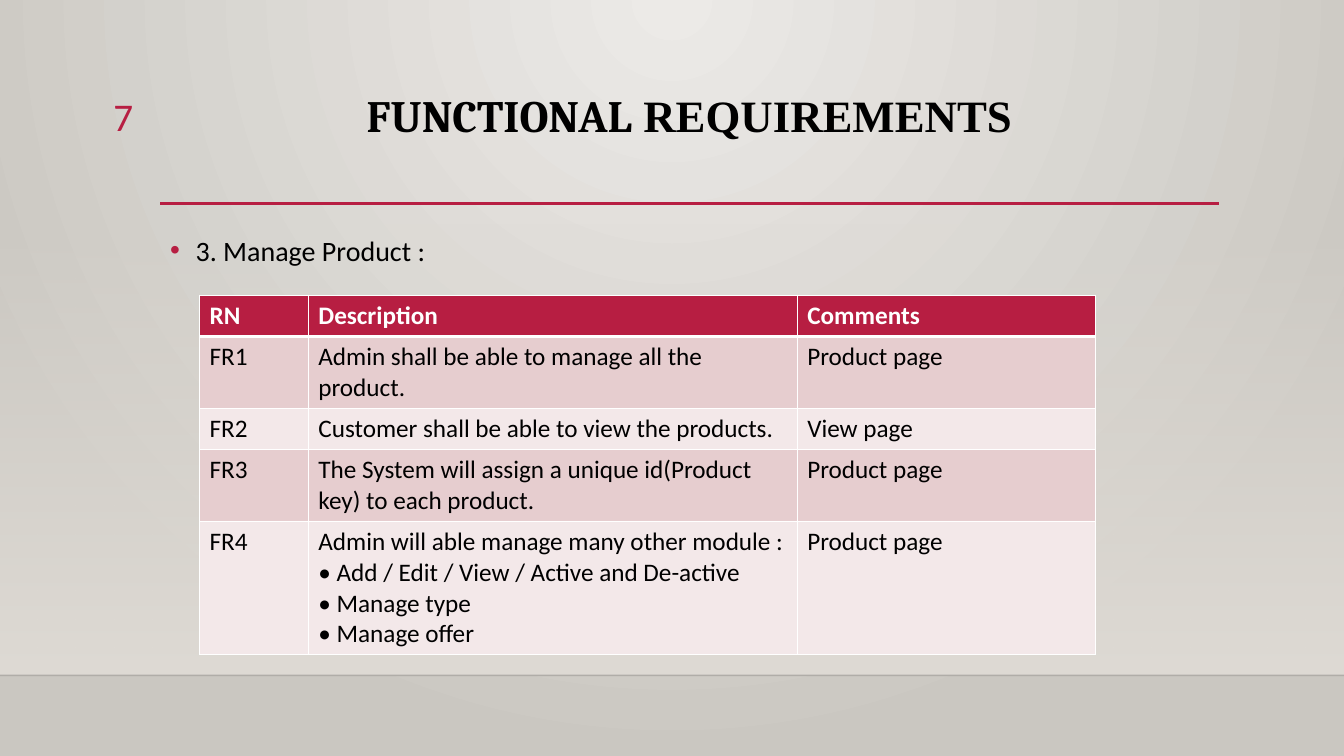
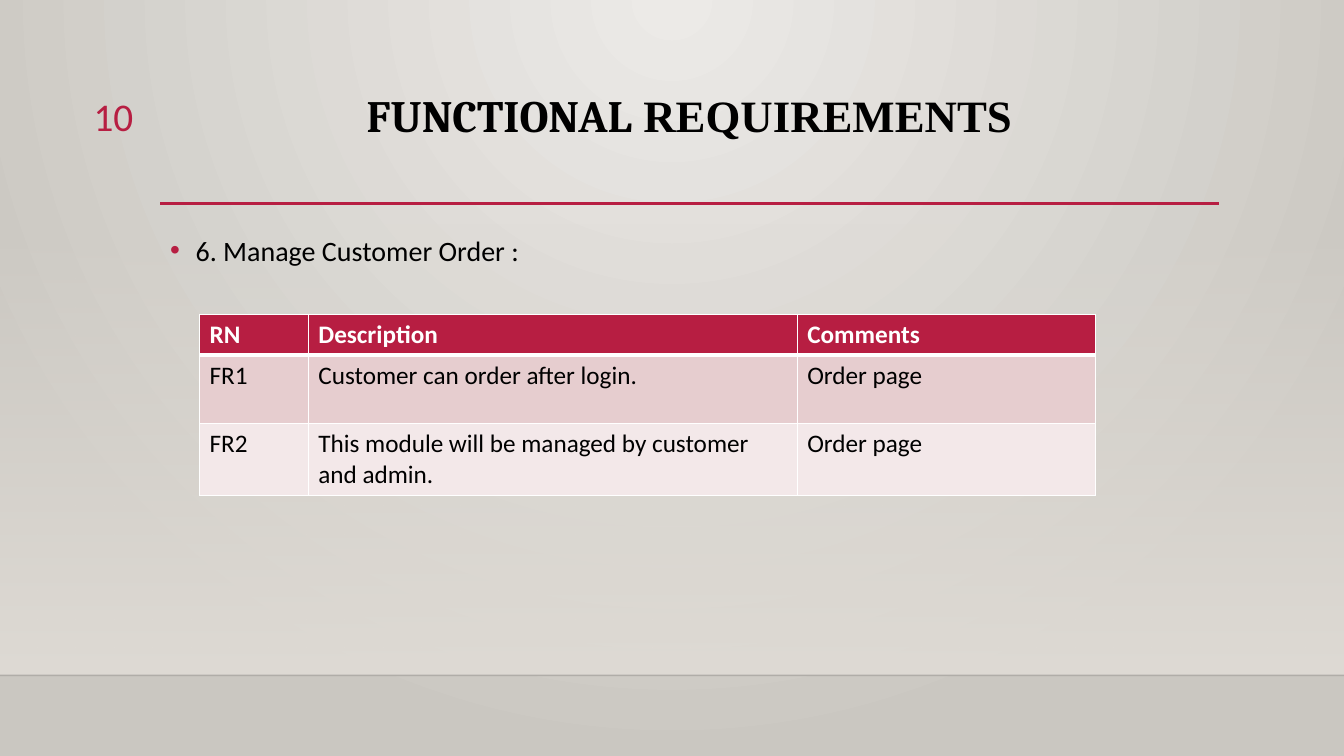
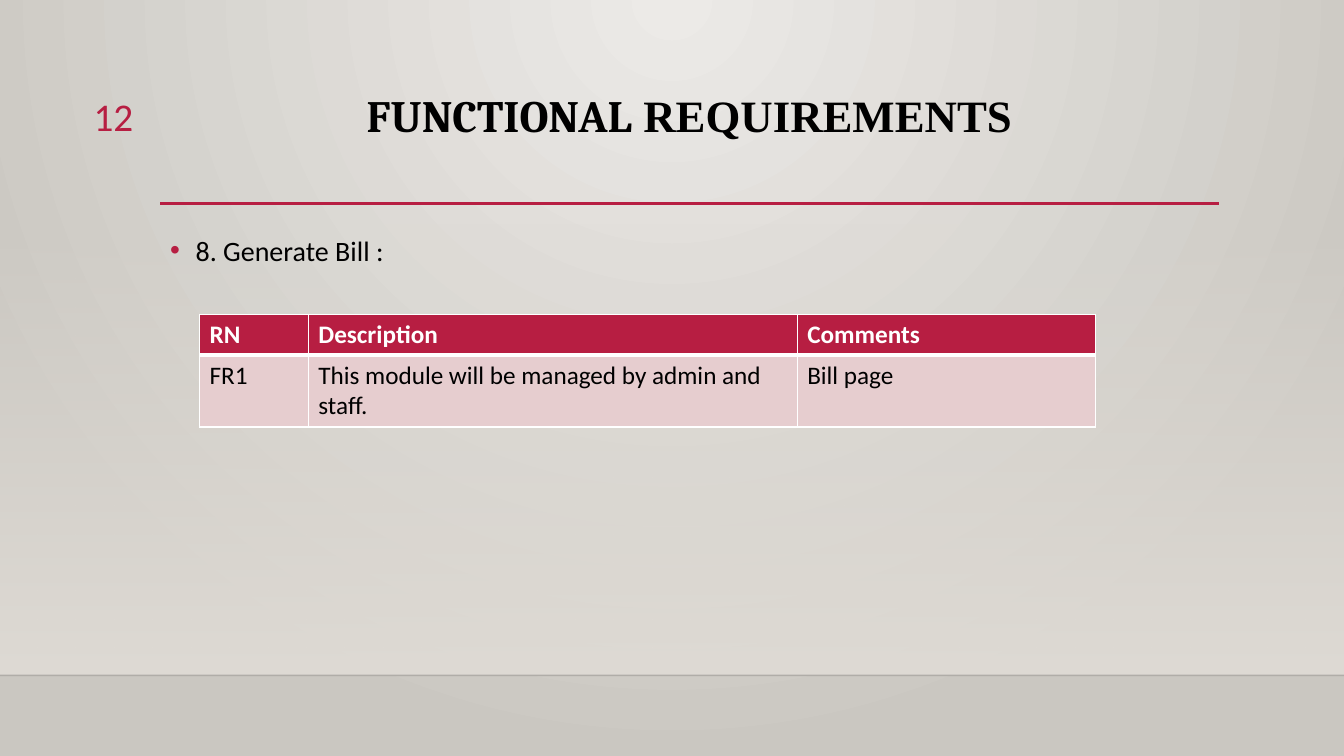
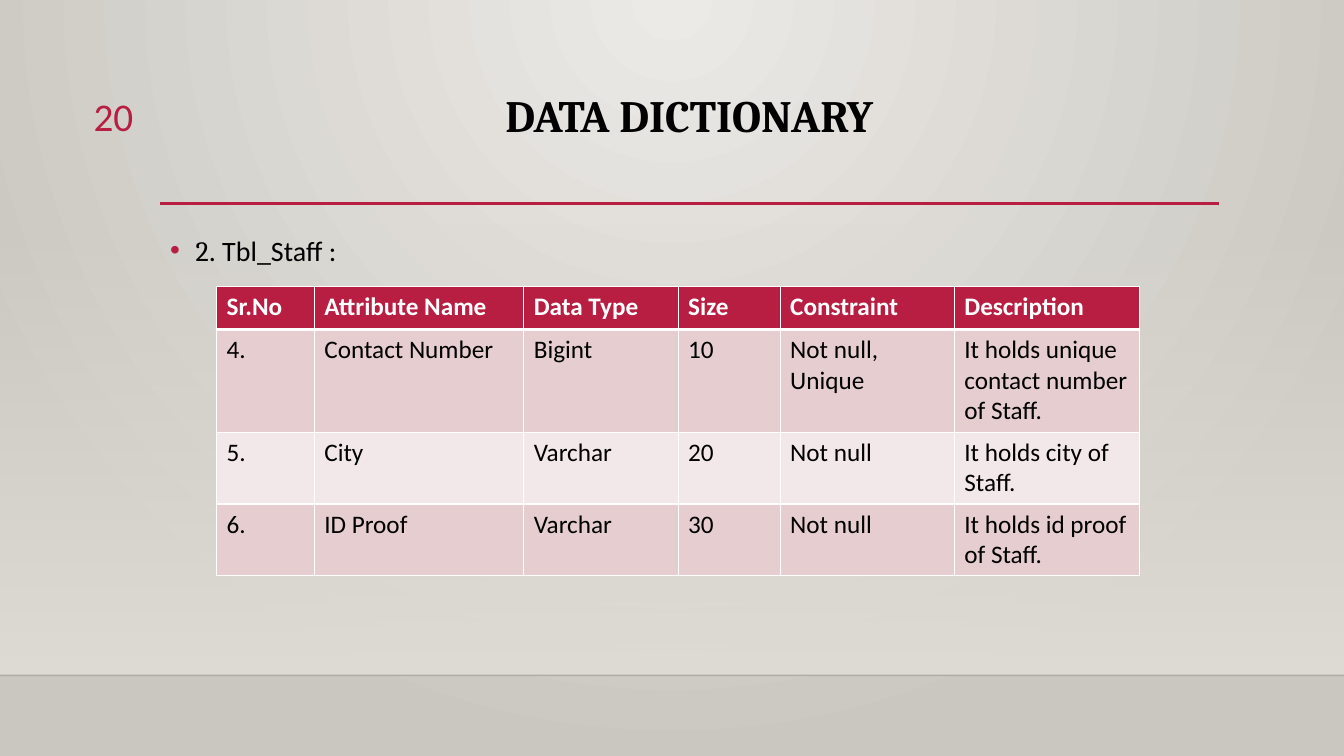
"""Build four requirement and data dictionary slides with a shared look."""
from dataclasses import dataclass

import lxml.etree
import pptx
import pptx.dml.color
import pptx.dml.fill
import pptx.enum.shapes
import pptx.enum.text
import pptx.oxml.ns
import pptx.presentation
import pptx.shapes.autoshape
import pptx.slide
import pptx.table
import pptx.text.text
import pptx.util

Cm = pptx.util.Cm
Pt = pptx.util.Pt
RGBColor = pptx.dml.color.RGBColor
qn = pptx.oxml.ns.qn

BLACK = RGBColor(0x00, 0x00, 0x00)
WHITE = RGBColor(0xFF, 0xFF, 0xFF)
CRIMSON = RGBColor(0xB7, 0x1E, 0x42)
ROW_DARK = RGBColor(0xE6, 0xCD, 0xCF)
ROW_LIGHT = RGBColor(0xF3, 0xE8, 0xE9)
BG_INNER = RGBColor(0xEC, 0xEA, 0xE7)
BG_OUTER = RGBColor(0xCA, 0xC7, 0xC1)
FLOOR = RGBColor(0xDF, 0xDB, 0xD5)

BODY_FONT = "Calibri"
TITLE_FONT = "Cambria"
SERIF_FONT = "Times New Roman"

SLIDE_W, SLIDE_H = Cm(33.87), Cm(19.05)
LEFT, TEXT_W = Cm(4.04), Cm(26.67)
FLOOR_TOP, FLOOR_BOTTOM = Cm(5.61), Cm(17.02)
RULE_Y, RULE_RIGHT = Cm(5.13), Cm(30.73)


@dataclass(frozen=True)
class Span:
    """A piece of text in one font."""

    text: str
    font: str = BODY_FONT


@dataclass(frozen=True)
class Grid:
    """A table's place, column widths, row heights (cm) and rows of text."""

    left: float
    top: float
    widths: list[float]
    heights: list[float]
    rows: list[list[str]]


@dataclass(frozen=True)
class Page:
    """The content of one slide."""

    number: int
    title: list[Span]
    heading: list[Span]
    grid: Grid


REQUIREMENTS_TITLE = [Span("FUNCTIONAL", TITLE_FONT), Span(" REQUIREMENTS", SERIF_FONT)]
REQUIREMENTS_HEADER = ["RN", "Description", "Comments"]


def requirements(number: int, heading: str, top: float, heights: list[float],
                 rows: list[list[str]]) -> Page:
    """Describe a functional requirements slide."""
    grid = Grid(5.03, top, [2.74, 12.32, 7.52], heights, [REQUIREMENTS_HEADER, *rows])
    return Page(number, REQUIREMENTS_TITLE, [Span(heading)], grid)


PAGES = [
    requirements(7, "3. Manage Product :", 7.44, [1.04, 1.81, 1.04, 1.81, 3.36], [
        ["FR1", "Admin shall be able to manage all the product.", "Product page"],
        ["FR2", "Customer shall be able to view the products.", "View page"],
        ["FR3", "The System will assign a unique id(Product key) to each product.",
         "Product page"],
        ["FR4", "Admin will able manage many other module : "
                "• Add / Edit / View / Active and De-active\n• Manage type\n• Manage offer",
         "Product page"],
    ]),
    requirements(10, "6. Manage Customer Order :", 7.92, [1.03, 1.73, 1.81], [
        ["FR1", "Customer can order after login.", "Order page"],
        ["FR2", "This module will be managed by customer and admin.", "Order page"],
    ]),
    requirements(12, "8. Generate Bill :", 7.92, [1.03, 1.81], [
        ["FR1", "This module will be managed by admin and staff.", "Bill page"],
    ]),
    Page(20, [Span("DATA DICTIONARY", TITLE_FONT)],
         [Span("2", TITLE_FONT), Span(". Tbl_Staff :")],
         Grid(5.46, 7.21, [2.46, 5.28, 3.89, 2.57, 4.39, 4.67], [1.09, 2.59, 1.81, 1.81], [
             ["Sr.No", "Attribute Name", "Data Type", "Size", "Constraint", "Description"],
             ["4.", "Contact Number", "Bigint", "10", "Not null,\nUnique",
              "It holds unique contact number of Staff."],
             ["5.", "City", "Varchar", "20", "Not null", "It holds city of Staff."],
             ["6.", "ID Proof", "Varchar", "30", "Not null", "It holds id proof of Staff."],
         ])),
]


def set_font(font: pptx.text.text.Font, size: float, color: RGBColor,
             name: str = BODY_FONT, bold: bool = False) -> None:
    """Format a font."""
    font.size, font.name, font.bold = Pt(size), name, bold
    font.color.rgb = color


def write_spans(p: pptx.text.text._Paragraph, spans: list[Span], size: float,
                bold: bool = False) -> None:
    """Write black runs, each in its own font."""
    for span in spans:
        r = p.add_run()
        r.text = span.text
        set_font(r.font, size, BLACK, span.font, bold)


def set_gradient(fill: pptx.dml.fill.FillFormat, start: RGBColor, end: RGBColor) -> None:
    """Give a fill a two-colour gradient."""
    fill.gradient()
    for stop, color in zip(fill.gradient_stops, (start, end)):
        stop.color.rgb = color


def set_alpha(color_el: lxml.etree._Element, percent: int) -> None:
    """Set the opacity of a colour element."""
    lxml.etree.SubElement(color_el, qn("a:alpha"), val=str(percent * 1000))


def set_background(prs: pptx.presentation.Presentation) -> None:
    """Give the master a radial background centred on the top edge."""
    master = prs.slide_master
    set_gradient(master.background.fill, BG_INNER, BG_OUTER)
    lin = next(master.element.cSld.iter(qn("a:lin")))
    circle = lxml.etree.Element(qn("a:path"), {"path": "circle"})
    lxml.etree.SubElement(circle, qn("a:fillToRect"), l="43000", t="0", r="43000", b="100000")
    lin.getparent().replace(lin, circle)


def add_rule(s: pptx.slide.Slide, left: int, right: int, y: int, color: RGBColor,
             width: float, opacity: int = 100) -> None:
    """Draw a horizontal line."""
    line = s.shapes.add_connector(pptx.enum.shapes.MSO_CONNECTOR.STRAIGHT, left, y, right, y)
    line.line.color.rgb = color
    line.line.width = Pt(width)
    if opacity < 100:
        set_alpha(next(line.element.spPr.iter(qn("a:srgbClr"))), opacity)
    lxml.etree.SubElement(line.element.spPr, qn("a:effectLst"))


def add_frame(s: pptx.slide.Slide) -> None:
    """Draw the floor band and the lines that every slide has."""
    floor = s.shapes.add_shape(pptx.enum.shapes.MSO_SHAPE.RECTANGLE, 0, FLOOR_TOP,
                               SLIDE_W, FLOOR_BOTTOM - FLOOR_TOP)
    floor.shadow.inherit = False
    floor.line.fill.background()
    set_gradient(floor.fill, FLOOR, FLOOR)
    floor.fill.gradient_angle = 270
    set_alpha(next(floor.element.spPr.iter(qn("a:srgbClr"))), 0)
    add_rule(s, 0, SLIDE_W, FLOOR_BOTTOM, BLACK, 1, 20)
    add_rule(s, LEFT, RULE_RIGHT, RULE_Y, CRIMSON, 2.5)


def set_title(s: pptx.slide.Slide, spans: list[Span]) -> None:
    """Place and write the title."""
    title = s.shapes.title
    title.left, title.top, title.width, title.height = LEFT, Cm(2.24), TEXT_W, Cm(2.92)
    tf = title.text_frame
    tf.auto_size = pptx.enum.text.MSO_AUTO_SIZE.NONE
    tf.vertical_anchor = pptx.enum.text.MSO_ANCHOR.TOP
    p = tf.paragraphs[0]
    p.alignment = pptx.enum.text.PP_ALIGN.CENTER
    p.line_spacing = 0.9
    write_spans(p, spans, 32, True)


def add_heading(s: pptx.slide.Slide, spans: list[Span]) -> None:
    """Write the bulleted heading above the table."""
    tf = s.shapes.add_textbox(LEFT, Cm(5.59), TEXT_W, Cm(1.3)).text_frame
    tf.word_wrap = True
    p = tf.paragraphs[0]
    p.line_spacing = 1.2
    props = p._p.get_or_add_pPr()
    props.set("marL", str(Cm(0.64)))
    props.set("indent", str(-Cm(0.64)))
    bullet_color = lxml.etree.SubElement(props, qn("a:buClr"))
    lxml.etree.SubElement(bullet_color, qn("a:srgbClr"), val=str(CRIMSON))
    lxml.etree.SubElement(props, qn("a:buFont"), typeface="Arial")
    lxml.etree.SubElement(props, qn("a:buChar"), char="•")
    write_spans(p, spans, 20)


def add_number(s: pptx.slide.Slide, number: int) -> None:
    """Write the page number left of the title."""
    tf = s.shapes.add_textbox(Cm(1.35), Cm(2.21), Cm(2.26), Cm(1.4)).text_frame
    tf.word_wrap = True
    tf.text = str(number)
    p = tf.paragraphs[0]
    p.alignment = pptx.enum.text.PP_ALIGN.RIGHT
    set_font(p.runs[0].font, 28, CRIMSON)


def set_borders(cell: pptx.table._Cell, top: float, bottom: float) -> None:
    """Give a cell white borders, widths in points."""
    props = cell._tc.get_or_add_tcPr()
    sides = {"a:lnL": 1, "a:lnR": 1, "a:lnT": top, "a:lnB": bottom}
    for i, (tag, width) in enumerate(sides.items()):
        ln = lxml.etree.Element(qn(tag), w=str(Pt(width)))
        fill = lxml.etree.SubElement(ln, qn("a:solidFill"))
        lxml.etree.SubElement(fill, qn("a:srgbClr"), val=str(WHITE))
        props.insert(i, ln)


def add_grid(s: pptx.slide.Slide, grid: Grid) -> None:
    """Draw a table with a header row and banded rows."""
    table = s.shapes.add_table(len(grid.rows), len(grid.widths), Cm(grid.left), Cm(grid.top),
                               Cm(sum(grid.widths)), Cm(sum(grid.heights))).table
    for column, width in zip(table.columns, grid.widths):
        column.width = Cm(width)
    for i, (row, height, texts) in enumerate(zip(table.rows, grid.heights, grid.rows)):
        row.height = Cm(height)
        header = i == 0
        band = CRIMSON if header else ROW_DARK if i % 2 else ROW_LIGHT
        for cell, text in zip(row.cells, texts):
            cell.text_frame.text = text
            for p in cell.text_frame.paragraphs:
                set_font(p.runs[0].font, 18, WHITE if header else BLACK, bold=header)
            cell.fill.solid()
            cell.fill.fore_color.rgb = band
            set_borders(cell, 3 if i == 1 else 1, 3 if header else 1)


def add_page(prs: pptx.presentation.Presentation, page: Page) -> None:
    """Add one slide."""
    s = prs.slides.add_slide(prs.slide_layouts.get_by_name("Title Only"))
    add_frame(s)
    set_title(s, page.title)
    add_heading(s, page.heading)
    add_number(s, page.number)
    add_grid(s, page.grid)


def main() -> None:
    """Build and save the presentation."""
    prs = pptx.Presentation()
    prs.slide_width, prs.slide_height = SLIDE_W, SLIDE_H
    set_background(prs)
    for page in PAGES:
        add_page(prs, page)
    prs.save("out.pptx")


if __name__ == "__main__":
    main()
